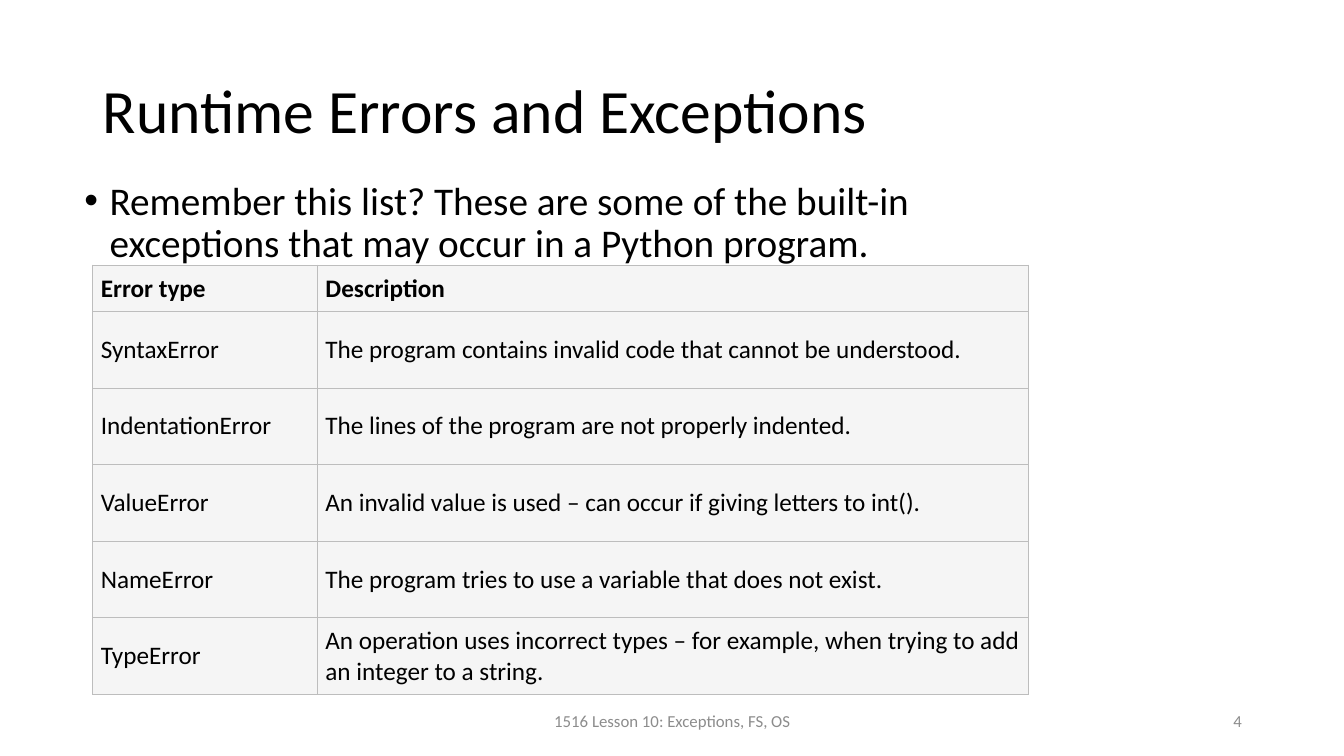
from dataclasses import dataclass

from lxml import etree
from pptx import Presentation
from pptx.dml.color import RGBColor
from pptx.enum.text import MSO_ANCHOR, PP_ALIGN
from pptx.oxml.ns import qn
from pptx.util import Inches, Pt

CENTER, RIGHT = PP_ALIGN.CENTER, PP_ALIGN.RIGHT
TOP, MIDDLE = MSO_ANCHOR.TOP, MSO_ANCHOR.MIDDLE


@dataclass(frozen=True)
class Theme:
    font: str = "Calibri"
    ink: str = "000000"
    muted: str = "8C8C8C"
    cell: str = "F5F5F5"
    rule: str = "BDBDBD"
    rule_width: float = 0.75
    title: int = 44
    body: int = 28
    table: int = 18
    footer: int = 12
    cell_inset: float = 0.08
    indent: float = 0.25


class SlideBuilder:
    """Places elements by percentages of the slide's width and height."""

    def __init__(self, prs, theme):
        self.prs, self.theme = prs, theme
        self.s = prs.slides.add_slide(prs.slide_layouts[6])

    def x(self, share):
        return round(self.prs.slide_width * share / 100)

    def y(self, share):
        return round(self.prs.slide_height * share / 100)

    def box(self, left, top, width, height):
        return self.x(left), self.y(top), self.x(width), self.y(height)

    def add_text(self, tf, text, size, color=None, bold=False, **paragraph):
        p = tf.paragraphs[0]
        for name, value in paragraph.items():
            setattr(p, name, value)
        r = p.add_run()
        r.text = text
        style = {"name": self.theme.font, "size": Pt(size), "bold": bold}
        for name, value in style.items():
            setattr(r.font, name, value)
        r.font.color.rgb = RGBColor.from_string(color or self.theme.ink)
        return p

    def text(self, at, text, size, anchor=MIDDLE, **style):
        tf = self.s.shapes.add_textbox(*self.box(*at)).text_frame
        tf.word_wrap = True
        tf.vertical_anchor = anchor
        return self.add_text(tf, text, size, **style)

    def bullet(self, at, text, size, **style):
        pPr = self.text(at, text, size, TOP, **style)._p.get_or_add_pPr()
        indent = Inches(self.theme.indent)
        pPr.set("marL", str(indent))
        pPr.set("indent", str(-indent))
        etree.SubElement(pPr, qn("a:buFont"), typeface="Arial")
        etree.SubElement(pPr, qn("a:buChar"), char="•")

    def borders(self, cell):
        tcPr = cell._tc.get_or_add_tcPr()
        for i, side in enumerate(("lnL", "lnR", "lnT", "lnB")):
            ln = etree.Element(qn(f"a:{side}"), w=str(Pt(self.theme.rule_width)))
            fill = etree.SubElement(ln, qn("a:solidFill"))
            etree.SubElement(fill, qn("a:srgbClr"), val=self.theme.rule)
            tcPr.insert(i, ln)

    def table(self, at, rows, col_shares, row_shares):
        area = self.box(*at)
        table = self.s.shapes.add_table(len(rows), len(rows[0]), *area).table
        for column, share in zip(table.columns, col_shares):
            column.width = round(area[2] * share)
        for row, share in zip(table.rows, row_shares):
            row.height = self.y(share)
        inset = Inches(self.theme.cell_inset)
        layout = {f"margin_{side}": inset for side in ("left", "right", "top", "bottom")}
        layout["vertical_anchor"] = MIDDLE
        for i, values in enumerate(rows):
            for j, value in enumerate(values):
                cell = table.cell(i, j)
                for name, setting in layout.items():
                    setattr(cell, name, setting)
                cell.fill.solid()
                cell.fill.fore_color.rgb = RGBColor.from_string(self.theme.cell)
                self.borders(cell)
                self.add_text(cell.text_frame, value, self.theme.table, bold=i == 0)


ERRORS = [
    ("Error type", "Description"),
    ("SyntaxError", "The program contains invalid code that cannot be understood."),
    ("IndentationError", "The lines of the program are not properly indented."),
    ("ValueError", "An invalid value is used – can occur if giving letters to int()."),
    ("NameError", "The program tries to use a variable that does not exist."),
    ("TypeError", "An operation uses incorrect types – for example, "
                  "when trying to add an integer to a string."),
]

prs = Presentation()
prs.slide_width, prs.slide_height = Inches(13.33), Inches(7.5)
theme = Theme()
slide = SlideBuilder(prs, theme)

# Title and introduction
slide.text((6.9, 5.33, 86.25, 19.33), "Runtime Errors and Exceptions",
           theme.title, line_spacing=0.9)
slide.bullet((5.55, 23.33, 70.5, 56.53),
             "Remember this list? These are some of the built-in exceptions "
             "that may occur in a Python program.",
             theme.body, line_spacing=0.9, space_before=Pt(10))

# Error table: a short header row above equal rows
slide.table((6.9, 35.07, 69.65, 56.8), ERRORS, (0.24, 0.76),
            [6.13] + [10.13] * (len(ERRORS) - 1))

# Footer and page number
for left, width, text, align in (
    (33.15, 33.75, "1516 Lesson 10: Exceptions, FS, OS", CENTER),
    (70.65, 22.5, "4", RIGHT),
):
    slide.text((left, 92.67, width, 5.33), text, theme.footer,
               color=theme.muted, alignment=align)

prs.save("out.pptx")
